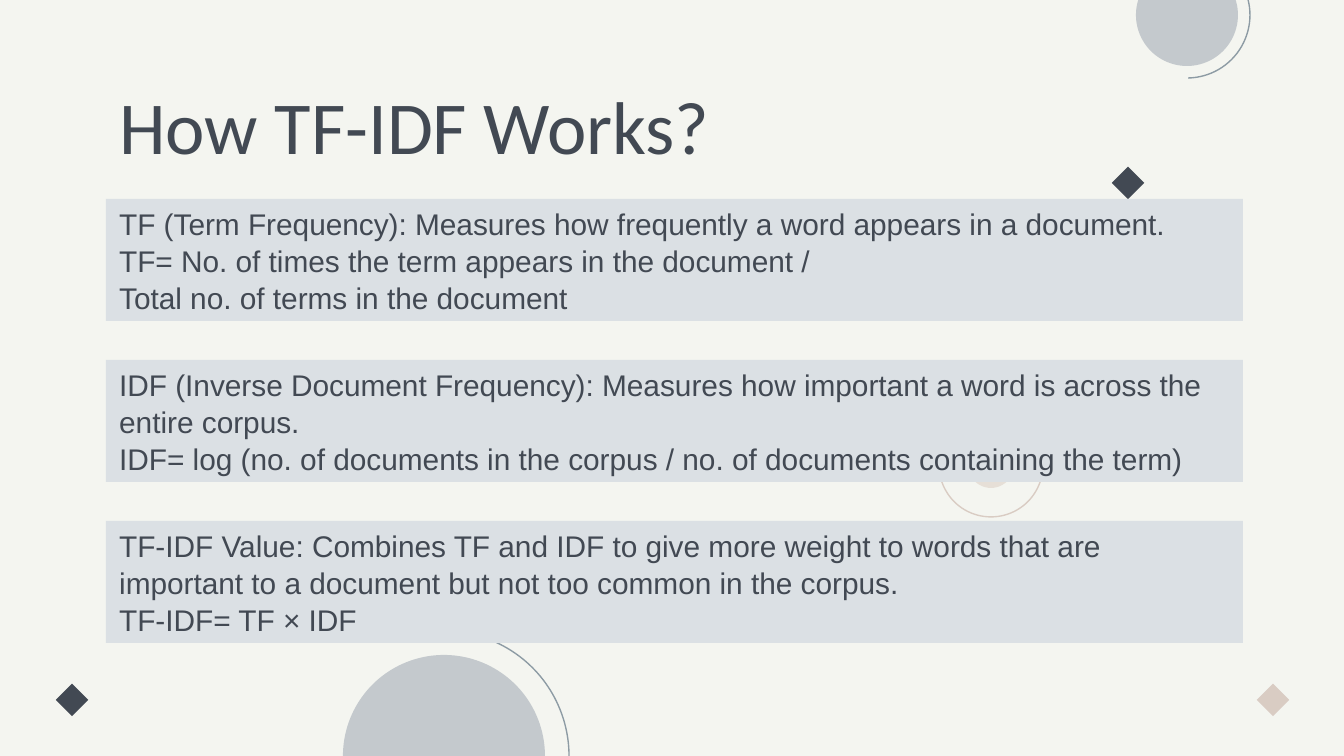
from pptx import Presentation
from pptx.dml.color import RGBColor
from pptx.enum.shapes import MSO_SHAPE as Shape
from pptx.enum.text import MSO_ANCHOR as Anchor, PP_ALIGN as Align
from pptx.util import Emu, Pt

PX = 914400 / 134.4
COLORS = {
    "background": "F4F5F0",
    "dark": "424953",
    "panel": "DBE0E4",
    "disc": "C4C9CD",
    "ring": "8D9BA4",
    "sand": "D9CCC3",
    "pale_sand": "E6DFD7",
}


def add_shape(kind, left, top, width, height, fill=None, line=None, rotation=0):
    box = [Emu(round(value * PX)) for value in (left, top, width, height)]
    shape = slide.shapes.add_shape(kind, *box)
    shape.shadow.inherit = False
    shape.rotation = rotation
    for part, color in ((shape.fill, fill), (shape.line.fill, line)):
        if color:
            part.solid()
            part.fore_color.rgb = RGBColor.from_string(COLORS[color])
        else:
            part.background()
    if line:
        shape.line.width = Pt(0.75)
    return shape


def write_text(shape, text, font_format, anchor, line_spacing):
    frame = shape.text_frame
    frame_format = {"word_wrap": True, "vertical_anchor": anchor}
    for side in ("left", "right", "top", "bottom"):
        frame_format[f"margin_{side}"] = Emu(91440)
    for name, value in frame_format.items():
        setattr(frame, name, value)
    frame.text = text
    for paragraph in frame.paragraphs:
        paragraph.alignment = Align.LEFT
        paragraph.line_spacing = line_spacing
        for run in paragraph.runs:
            for name, value in font_format.items():
                setattr(run.font, name, value)
            run.font.color.rgb = RGBColor.from_string(COLORS["dark"])


presentation = Presentation()
presentation.slide_width = Emu(round(1344 * PX))
presentation.slide_height = Emu(round(756 * PX))
slide = presentation.slides.add_slide(presentation.slide_layouts[6])
slide.background.fill.solid()
slide.background.fill.fore_color.rgb = RGBColor.from_string(COLORS["background"])

ringed_discs = [
    (1187, 15, 51, 63, "disc", "ring", 0),
    (444, 756, 101, 125, "disc", "ring", 0),
    (991, 465, 23, 52, "pale_sand", "sand", 90),
]
for x, y, disc, ring, fill, line, rotation in ringed_discs:
    add_shape(Shape.OVAL, x - disc, y - disc, 2 * disc, 2 * disc, fill)
    arc = add_shape(Shape.ARC, x - ring, y - ring, 2 * ring, 2 * ring, None, line, rotation)
    arc.adjustments[0] = 162
    arc.adjustments[1] = 53.39

DIAMOND = 23
for x, y, fill in ((72, 700, "dark"), (1273, 700, "sand"), (1128, 183, "dark")):
    add_shape(Shape.RECTANGLE, x - DIAMOND / 2, y - DIAMOND / 2, DIAMOND, DIAMOND, fill, rotation=45)

title = add_shape(Shape.RECTANGLE, 106, 66, 793, 78)
write_text(title, "How TF-IDF Works?", {"name": "Calibri", "size": Pt(40)}, Anchor.TOP, 1)

definitions = [
    "TF (Term Frequency): Measures how frequently a word appears in a document.\n"
    "TF= No. of times the term appears in the document /\vTotal no. of terms in the document",
    "IDF (Inverse Document Frequency): Measures how important a word is across the entire corpus.\n"
    "IDF= log (no. of documents in the corpus / no. of documents containing the term)",
    "TF-IDF Value: Combines TF and IDF to give more weight to words that are important "
    "to a document but not too common in the corpus.\n"
    "TF-IDF= TF × IDF",
]
for index, definition in enumerate(definitions):
    panel = add_shape(Shape.RECTANGLE, 106, 199 + 161 * index, 1137, 122, "panel")
    write_text(panel, definition, {"name": "Arial", "size": Pt(16)}, Anchor.MIDDLE, 1.03)

presentation.save("out.pptx")
